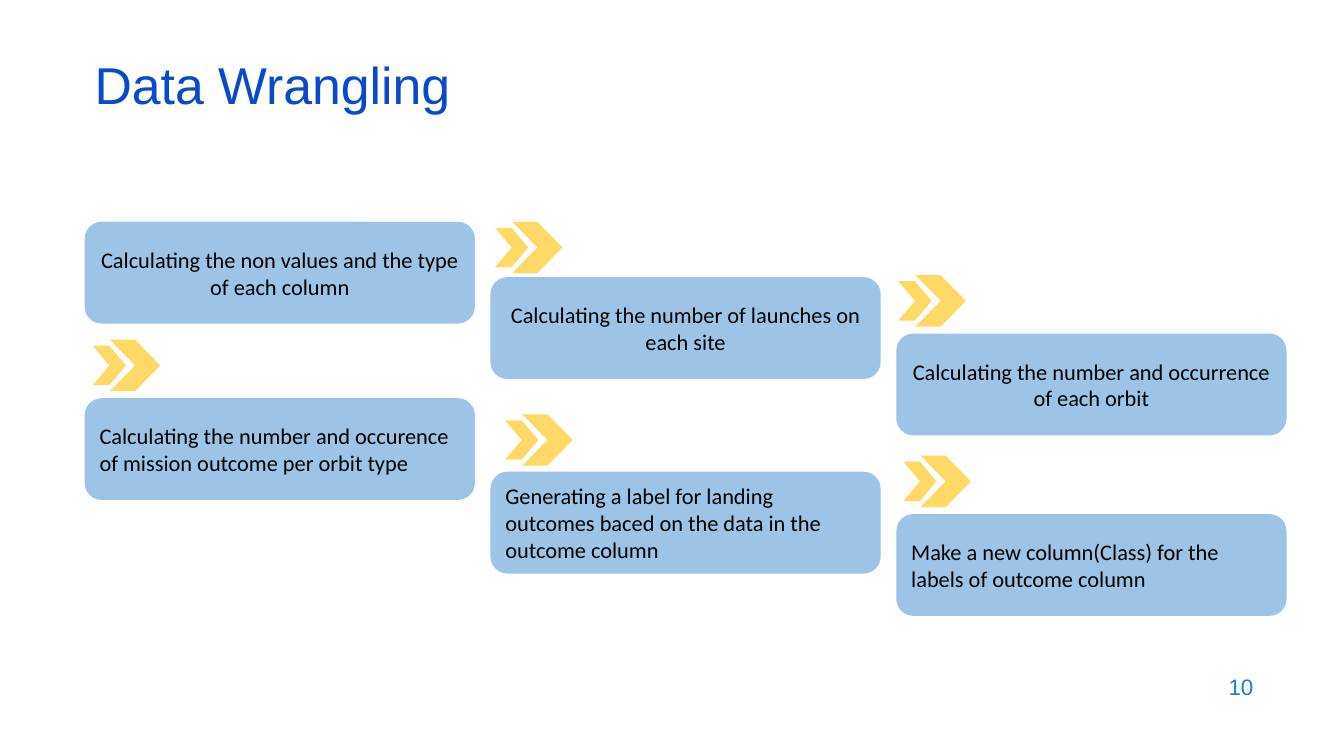
import pptx
import pptx.dml.color
import pptx.enum.shapes
import pptx.enum.text
import pptx.util

Inches = pptx.util.Inches
SHAPE = pptx.enum.shapes.MSO_SHAPE
ALIGN = pptx.enum.text.PP_ALIGN

presentation = pptx.Presentation()
presentation.slide_width = Inches(13.33)
presentation.slide_height = Inches(7.5)
slide = presentation.slides.add_slide(presentation.slide_layouts[6])


def add_filled_shape(kind, left, top, width, height, color):
    shape = slide.shapes.add_shape(kind, Inches(left), Inches(top), Inches(width), Inches(height))
    shape.shadow.inherit = False
    shape.fill.solid()
    shape.fill.fore_color.rgb = pptx.dml.color.RGBColor.from_string(color)
    shape.line.fill.background()
    return shape


def write_text(shape, text, font_name, size, color, alignment):
    frame = shape.text_frame
    frame.word_wrap = True
    frame.vertical_anchor = pptx.enum.text.MSO_ANCHOR.MIDDLE
    paragraph = frame.paragraphs[0]
    paragraph.text = text
    paragraph.alignment = alignment
    paragraph.font.name = font_name
    paragraph.font.size = pptx.util.Pt(size)
    paragraph.font.color.rgb = pptx.dml.color.RGBColor.from_string(color)
    return paragraph


page_number = slide.shapes.add_textbox(Inches(9.53), Inches(6.59), Inches(3), Inches(0.44))
write_text(page_number, "10", "Arial", 16, "1C7DDB", ALIGN.RIGHT)

title = slide.shapes.add_textbox(Inches(0.84), Inches(0.59), Inches(11.5), Inches(0.6))
title_paragraph = write_text(title, "Data Wrangling", "Arial", 37, "0B49CB", ALIGN.LEFT)
title_paragraph.line_spacing = 0.8

first_column, column_step = 0.84, 4.025
step_width, step_height = 3.87, 1.01
steps = [
    (0, 2.2, ALIGN.CENTER, "Calculating the non values and the type of each column"),
    (1, 2.75, ALIGN.CENTER, "Calculating the number of launches on each site"),
    (2, 3.31, ALIGN.CENTER, "Calculating the number and occurrence of each orbit"),
    (0, 3.95, ALIGN.LEFT, "Calculating the number and occurence of mission outcome per orbit type"),
    (1, 4.68, ALIGN.LEFT, "Generating a label for landing outcomes baced on the data in the outcome column"),
    (2, 5.1, ALIGN.LEFT, "Make a new column(Class) for the labels of outcome column"),
]
for column, top, alignment, text in steps:
    left = first_column + column * column_step
    step = add_filled_shape(SHAPE.ROUNDED_RECTANGLE, left, top, step_width, step_height, "9DC3E6")
    write_text(step, text, "Calibri", 16, "000000", alignment)

arrow_positions = [(4.91, 2.2), (8.91, 2.73), (0.92, 3.37), (5.01, 4.11), (8.96, 4.52)]
for left, top in arrow_positions:
    add_filled_shape(SHAPE.CHEVRON, left + 0.17, top, 0.5, 0.51, "FFD966")
    add_filled_shape(SHAPE.CHEVRON, left, top + 0.06, 0.33, 0.39, "FFD966")

presentation.save("out.pptx")
